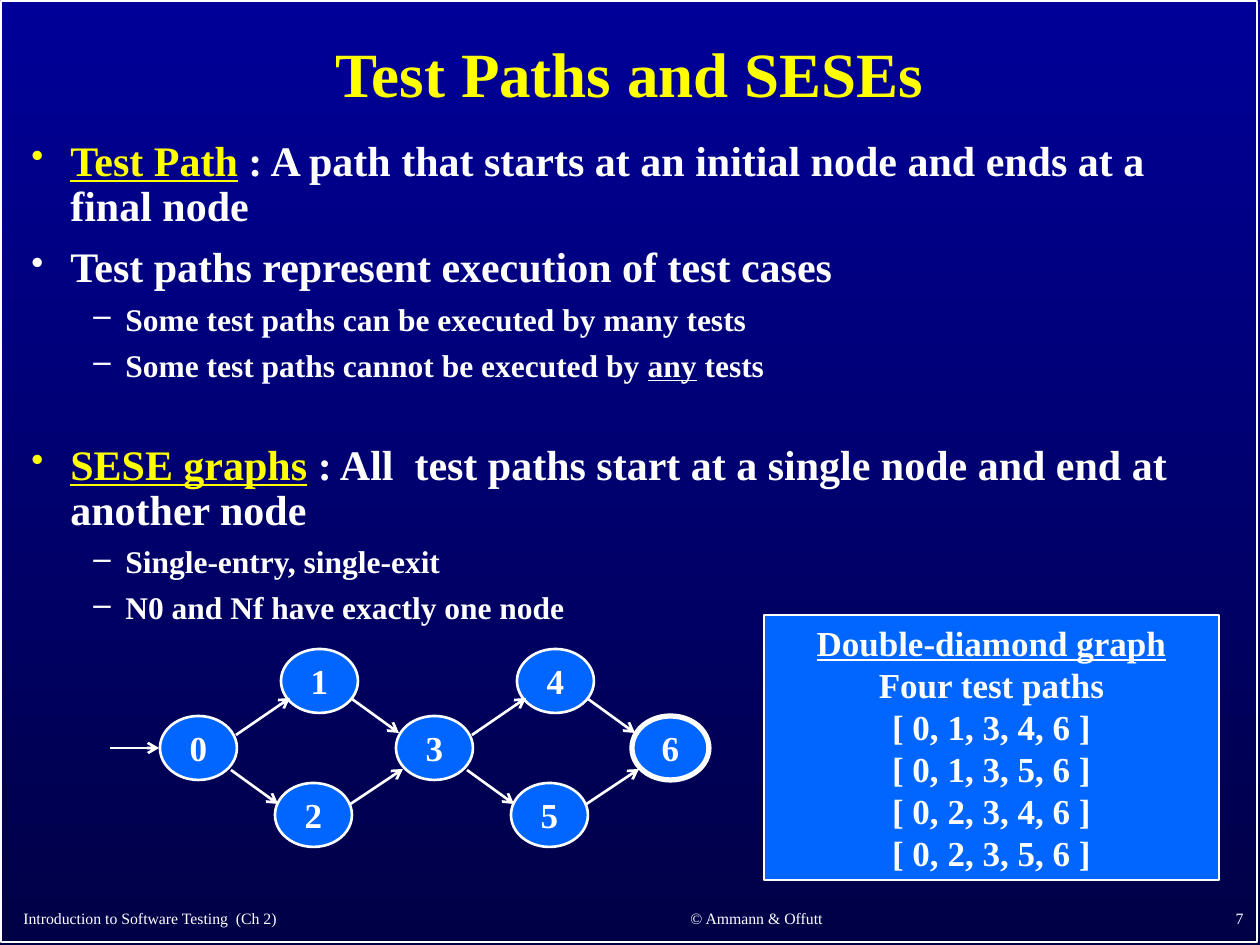
import pptx
import pptx.util
import pptx.dml.color
import pptx.enum.shapes
import pptx.enum.text
import lxml.etree
from dataclasses import dataclass

SCALE = 914400 / 126
ALIGN = pptx.enum.text.PP_ALIGN
ANCHOR = pptx.enum.text.MSO_ANCHOR
SHAPE = pptx.enum.shapes.MSO_SHAPE


@dataclass(frozen=True)
class Theme:
    font: str = "Times New Roman"
    top: str = "000099"
    bottom: str = "000047"
    white: str = "FFFFFF"
    yellow: str = "FFFF00"
    blue: str = "0066FF"
    title: int = 36
    point: int = 24
    label: int = 20
    subpoint: int = 18
    footer: int = 9


THEME = Theme()


def px(length):
    return pptx.util.Emu(round(length * SCALE))


def rgb(value):
    return pptx.dml.color.RGBColor.from_string(value)


def add_element(parent, tag, **attributes):
    element = lxml.etree.SubElement(parent, pptx.oxml.ns.qn(tag))
    for key, value in attributes.items():
        element.set(key, value)
    return element


def style(run, size, color=THEME.white, bold=True, underline=False):
    run.font.name = THEME.font
    run.font.size = pptx.util.Pt(size)
    run.font.bold = bold
    run.font.underline = underline
    run.font.color.rgb = rgb(color)


def add_textbox(slide, box, anchor):
    frame = slide.shapes.add_textbox(*map(px, box)).text_frame
    frame.word_wrap = True
    frame.vertical_anchor = anchor
    return frame


def add_panel(slide, kind, box, fill, weight):
    panel = slide.shapes.add_shape(kind, *map(px, box))
    panel.shadow.inherit = False
    if fill:
        panel.fill.solid()
        panel.fill.fore_color.rgb = rgb(fill)
    else:
        panel.fill.background()
    panel.line.color.rgb = rgb(THEME.white)
    panel.line.width = pptx.util.Pt(weight)
    return panel


def draw_backdrop(slide, box):
    fill = slide.background.fill
    fill.gradient()
    fill.gradient_angle = 270
    for stop, color, position in zip(fill.gradient_stops, (THEME.top, THEME.bottom), (0, 1)):
        stop.color.rgb = rgb(color)
        stop.position = position
    add_panel(slide, SHAPE.RECTANGLE, box, None, 1)


def draw_title(slide, box):
    heading = add_textbox(slide, box, ANCHOR.MIDDLE)
    heading.text = "Test Paths and SESEs"
    paragraph = heading.paragraphs[0]
    paragraph.alignment = ALIGN.CENTER
    paragraph.line_spacing = 0.9
    style(paragraph.runs[0], THEME.title, THEME.yellow)


def draw_footer(slide, box):
    left, top, width, height = box
    for text, offset, span, alignment in (
        ("Introduction to Software Testing  (Ch 2)", 0, 519, ALIGN.LEFT),
        ("© Ammann & Offutt", 546, 399, ALIGN.CENTER),
        ("7", width - 262, 262, ALIGN.RIGHT),
    ):
        note = add_textbox(slide, (left + offset, top, span, height), ANCHOR.BOTTOM)
        note.text = text
        note.paragraphs[0].alignment = alignment
        style(note.paragraphs[0].runs[0], THEME.footer, bold=False)


def set_bullet(paragraph, level, color):
    indent, hanging, mark = ((39, 39, "•"), (94, 32, "–"))[level]
    paragraph.level = level
    properties = paragraph._p.get_or_add_pPr()
    properties.set("marL", str(px(indent)))
    properties.set("indent", str(-px(hanging)))
    add_element(add_element(properties, "a:buClr"), "a:srgbClr", val=color)
    if level == 0:
        add_element(properties, "a:buSzPct", val="85000")
    add_element(properties, "a:buChar", char=mark)


def draw_points(slide, box):
    points = (
        (0, 0, "Test Path", " : A path that starts at an initial node and ends at a final node"),
        (0, 9, "", "Test paths represent execution of test cases"),
        (1, 6.8, "", "Some test paths can be executed by many tests"),
        (1, 6.8, "", "Some test paths cannot be executed by ", "any", " tests"),
        (0, 34.5, "SESE graphs", " : All  test paths start at a single node and end at another node"),
        (1, 6.8, "", "Single-entry, single-exit"),
        (1, 6.8, "", "N0 and Nf have exactly one node"),
    )
    body = add_textbox(slide, box, ANCHOR.TOP)
    for index, (level, gap, term, *phrases) in enumerate(points):
        paragraph = body.paragraphs[0] if index == 0 else body.add_paragraph()
        set_bullet(paragraph, level, THEME.yellow if term else THEME.white)
        paragraph.line_spacing = 0.9
        paragraph.space_before = pptx.util.Pt(gap)
        size = THEME.subpoint if level else THEME.point
        for phrase in (term, *phrases):
            if phrase:
                run = paragraph.add_run()
                run.text = phrase
                color = THEME.yellow if phrase == term else THEME.white
                style(run, size, color, underline=phrase in (term, "any"))


def draw_node(slide, box, name, weight):
    node = add_panel(slide, SHAPE.OVAL, box, THEME.blue, weight)
    frame = node.text_frame
    frame.margin_left = frame.margin_right = frame.margin_top = frame.margin_bottom = 0
    frame.word_wrap = False
    frame.vertical_anchor = ANCHOR.MIDDLE
    frame.text = name
    frame.paragraphs[0].alignment = ALIGN.CENTER
    style(frame.paragraphs[0].runs[0], THEME.label)


def draw_arrow(slide, start, end):
    arrow = slide.shapes.add_connector(
        pptx.enum.shapes.MSO_CONNECTOR.STRAIGHT, *map(px, (*start, *end)))
    arrow.line.color.rgb = rgb(THEME.white)
    arrow.line.width = pptx.util.Pt(1.5)
    add_element(arrow.line._get_or_add_ln(), "a:tailEnd", type="arrow")
    add_element(arrow._element.spPr, "a:effectLst")


def draw_graph(slide, box):
    left, top, width, height = box
    node_width, node_height, diamond_pitch = 77, 64, 236
    rise = (height - node_height) // 2
    hub_left, hub_top = left + 50, top + rise
    offsets = ((0, 0), (121, -rise), (115, rise))
    edges = ((76, 19, 130, -18), (71, 54, 118, 88), (192, -17, 239, 17), (189, 89, 243, 53))
    for number in range(7):
        diamond, role = divmod(number, 3)
        across, down = offsets[role]
        node_box = (hub_left + diamond * diamond_pitch + across, hub_top + down,
                    node_width, node_height)
        draw_node(slide, node_box, str(number), 3 if number == 6 else 1.5)
    middle = hub_top + node_height // 2
    draw_arrow(slide, (left, middle), (hub_left - 1, middle))
    for diamond in range(2):
        origin = hub_left + diamond * diamond_pitch
        for x1, y1, x2, y2 in edges:
            draw_arrow(slide, (origin + x1, hub_top + y1), (origin + x2, hub_top + y2))


def draw_path_list(slide, box):
    panel = add_panel(slide, SHAPE.RECTANGLE, box, THEME.blue, 1)
    frame = panel.text_frame
    frame.word_wrap = True
    frame.vertical_anchor = ANCHOR.TOP
    paths = [f"[ 0, {first}, 3, {second}, 6 ]" for first in (1, 2) for second in (4, 5)]
    frame.text = "\n".join(["Double-diamond graph", "Four test paths", *paths])
    for index, paragraph in enumerate(frame.paragraphs):
        paragraph.alignment = ALIGN.CENTER
        style(paragraph.runs[0], THEME.label, underline=index == 0)


def main():
    deck = pptx.Presentation()
    deck.slide_width, deck.slide_height = px(1260), px(945)
    slide = deck.slides.add_slide(deck.slide_layouts[6])
    draw_backdrop(slide, (1, 1, 1256, 941))
    draw_footer(slide, (11, 896, 1245, 38))
    draw_title(slide, (94, 14, 1071, 126))
    draw_points(slide, (19, 134, 1222, 730))
    draw_graph(slide, (110, 649, 600, 198))
    draw_path_list(slide, (764, 615, 455, 265))
    deck.save("out.pptx")


if __name__ == "__main__":
    main()
